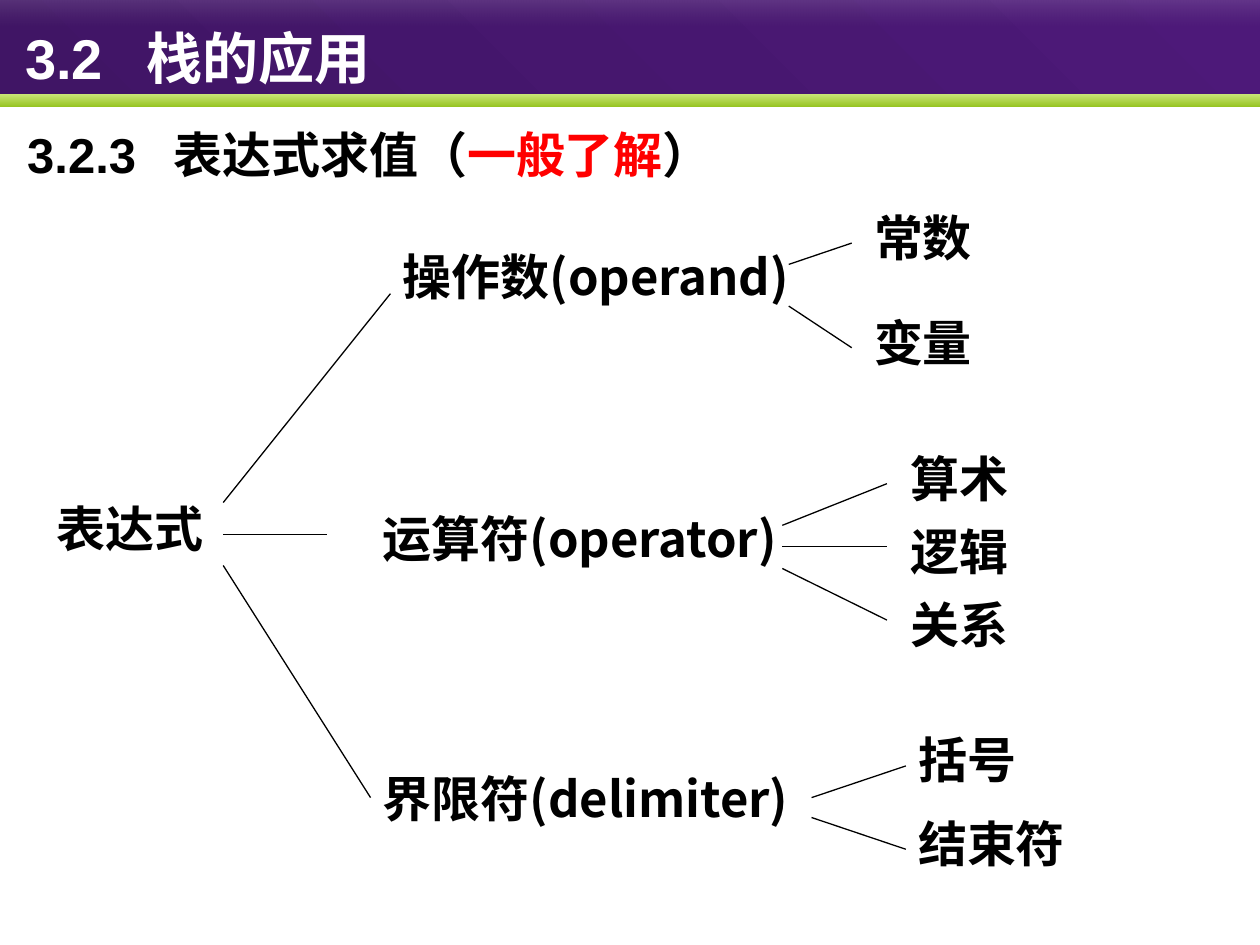
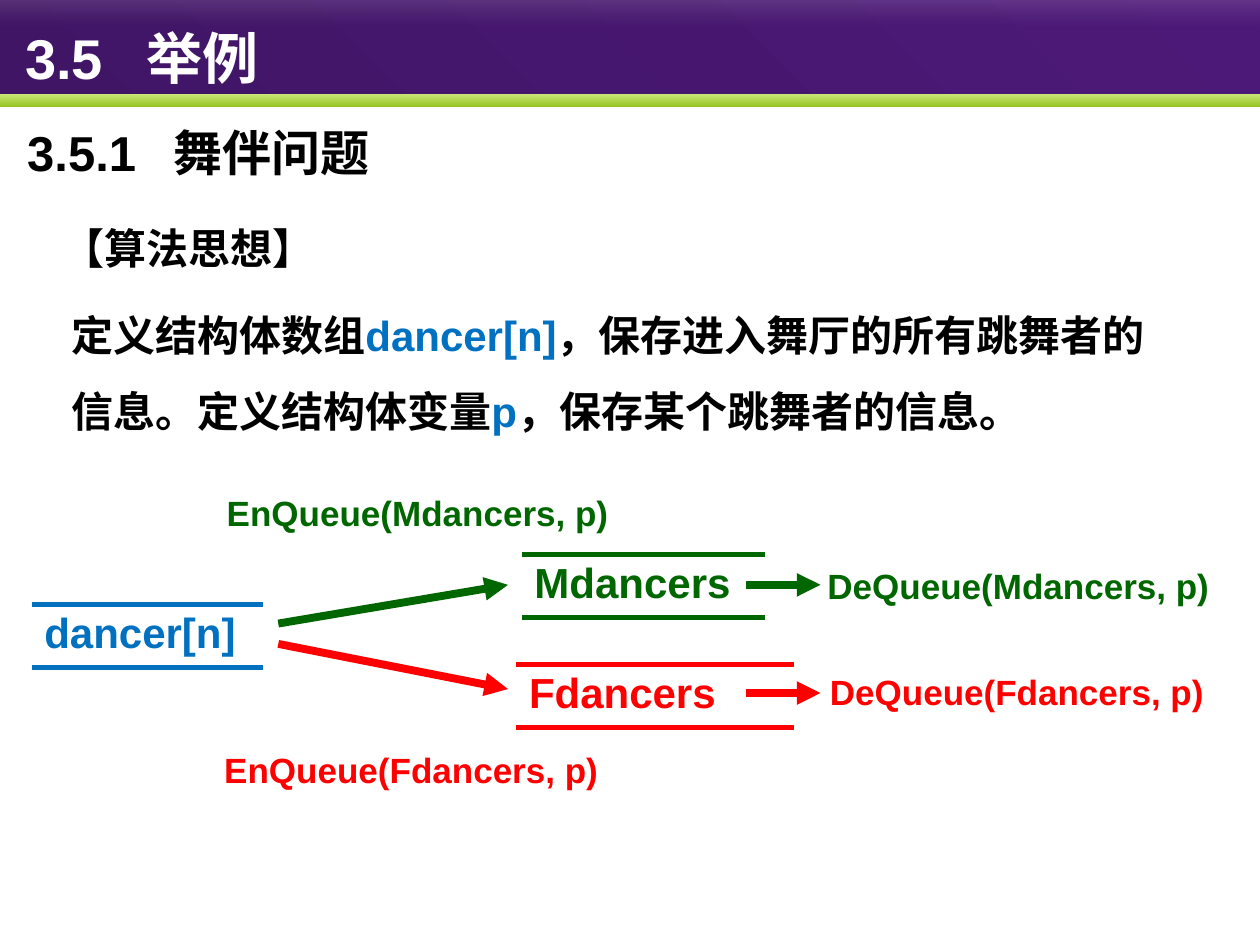
from dataclasses import dataclass

from lxml import etree
from pptx import Presentation
from pptx.dml.color import RGBColor
from pptx.enum import shapes, text
from pptx.oxml.ns import qn
from pptx.util import Cm, Pt


@dataclass(frozen=True)
class Theme:
    black: str = "000000"
    white: str = "FFFFFF"
    red: str = "FF0000"
    green: str = "006600"
    blue: str = "0070C0"
    purple_band: tuple = ("401565", "4D1979")
    lime_band: tuple = ("C9E576", "97C523")
    gloss_band: tuple = ("FFFFFF", "B6B6B6")
    latin: str = "Arial"
    cjk: str = "Noto Sans CJK SC"
    title_size: int = 32
    head_size: int = 28
    body_size: int = 24
    label_size: int = 20


THEME = Theme()
SLIDE_WIDTH, SLIDE_HEIGHT = 25.4, 19.05
NODE_HEIGHT = 1.45
LEAF_WIDTH = 6.55


# ---- Text ----
def write(frame, content, size=THEME.body_size, color=THEME.black, font=THEME.latin,
          line_spacing=None, tab=None):
    """Fill a frame with one bold paragraph; content is a string or (string, colour) pairs."""
    paragraph = frame.paragraphs[0]
    paragraph.alignment = text.PP_ALIGN.LEFT
    if line_spacing:
        paragraph.line_spacing = line_spacing
    if tab:
        stops = etree.SubElement(paragraph._p.get_or_add_pPr(), qn("a:tabLst"))
        etree.SubElement(stops, qn("a:tab"), pos=str(Cm(tab)), algn="l")
    pairs = [(content, color)] if isinstance(content, str) else content
    for words, run_color in pairs:
        run = paragraph.add_run()
        run.text = words
        run.font.size = Pt(size)
        run.font.bold = True
        run.font.color.rgb = RGBColor.from_string(run_color)
        run.font.name = font
        etree.SubElement(run._r.get_or_add_rPr(), qn("a:ea"), typeface=THEME.cjk)


def add_text(slide, left, top, width, height, content, wrap=True,
             anchor=text.MSO_ANCHOR.TOP, **style):
    frame = slide.shapes.add_textbox(Cm(left), Cm(top), Cm(width), Cm(height)).text_frame
    frame.word_wrap = wrap
    frame.auto_size = text.MSO_AUTO_SIZE.SHAPE_TO_FIT_TEXT
    frame.vertical_anchor = anchor
    write(frame, content, **style)


def add_node(slide, left, top, width, words, wrap=True):
    add_text(slide, left, top, width, NODE_HEIGHT, words, wrap=wrap,
             size=THEME.head_size, font=THEME.cjk)


# ---- Lines ----
def add_line(slide, start, end, color=THEME.black, weight=0.75, arrow=False):
    line = slide.shapes.add_connector(shapes.MSO_CONNECTOR.STRAIGHT,
                                      *(Cm(value) for value in (*start, *end)))
    line.line.color.rgb = RGBColor.from_string(color)
    line.line.width = Pt(weight)
    if arrow:
        etree.SubElement(line.line._get_or_add_ln(), qn("a:tailEnd"), type="triangle")
    etree.SubElement(line.element.spPr, qn("a:effectLst"))


# ---- Queue drawn as a one-cell table with top and bottom rules ----
def add_queue(slide, left, top, width, name, color):
    table = slide.shapes.add_table(1, 1, Cm(left), Cm(top), Cm(width), Cm(1.27)).table
    table.first_row = table.horz_banding = False
    cell = table.cell(0, 0)
    cell.fill.background()
    write(cell.text_frame, name, color=color)
    properties = cell._tc.get_or_add_tcPr()
    for index, side in enumerate(("lnL", "lnR", "lnT", "lnB")):
        border = etree.Element(qn(f"a:{side}"), w=str(Pt(3)))
        if side in ("lnT", "lnB"):
            fill = etree.SubElement(border, qn("a:solidFill"))
            etree.SubElement(fill, qn("a:srgbClr"), val=color)
        else:
            etree.SubElement(border, qn("a:noFill"))
        properties.insert(index, border)


# ---- Shared header ----
def add_band(slide, top, height, colors, angle=270, opacities=()):
    band = slide.shapes.add_shape(shapes.MSO_SHAPE.RECTANGLE, 0, Cm(top),
                                  Cm(SLIDE_WIDTH), Cm(height))
    band.shadow.inherit = False
    band.line.fill.background()
    band.fill.gradient()
    band.fill.gradient_angle = angle
    for stop, color in zip(band.fill.gradient_stops, colors):
        stop.color.rgb = RGBColor.from_string(color)
    for color, percent in zip(band.element.iter(qn("a:srgbClr")), opacities):
        etree.SubElement(color, qn("a:alpha"), val=str(percent * 1000))
    return band


def set_up_master(deck, layout, slide):
    """Put the bands behind everything on the master and place the title on the layout."""
    bands = (add_band(slide, 0, 1.9, THEME.purple_band, angle=45),
             add_band(slide, 1.9, 0.25, THEME.lime_band),
             add_band(slide, 0, 0.53, THEME.gloss_band, opacities=(13, 0)))
    for depth, band in enumerate(bands, start=2):
        deck.slide_master.shapes.element.insert(depth, band.element)
    title = layout.placeholders[0]
    title.left, title.top, title.width, title.height = Cm(0.25), Cm(0), Cm(25.15), Cm(2.29)
    title.text_frame.vertical_anchor = text.MSO_ANCHOR.MIDDLE


def add_headings(slide, title, section, section_top):
    write(slide.shapes.title.text_frame, title, size=THEME.title_size,
          color=THEME.white, tab=2.45)
    add_text(slide, 0.3, section_top, 24.8, 1.5, section, size=THEME.head_size, tab=2.95)


# ---- Slide 1: kinds of tokens in an expression ----
def add_branch(slide, node, trunk, fork_x, leaf_line_x, leaf_x, leaves):
    """Draw a node, its line from the root, and its leaves (words, top, line start y, end y)."""
    add_line(slide, *trunk)
    add_node(slide, *node)
    for words, top, start_y, end_y in leaves:
        add_node(slide, leaf_x, top, LEAF_WIDTH, words)
        add_line(slide, (fork_x, start_y), (leaf_line_x, end_y))


def build_expression(slide):
    add_headings(slide, "3.2\t栈的应用",
                 [("3.2.3\t表达式求值（", THEME.black), ("一般了解", THEME.red),
                  ("）", THEME.black)], 2.39)
    add_node(slide, 0.89, 9.93, 3.48, "表达式", wrap=False)
    root_x = 4.5
    add_branch(slide, (7.87, 4.85, 9.73, "操作数(operand)"),
               ((root_x, 10.13), (7.87, 5.92)), 15.9, 17.17, 17.37,
               [("常数", 4.06, 5.33, 4.9), ("变量", 6.17, 6.17, 7.01)])
    add_branch(slide, (7.47, 10.13, 10.8, "运算符(operator)"),
               ((root_x, 10.77), (6.6, 10.77)), 15.77, 17.88, 18.11,
               [("算术", 8.92, 10.59, 9.75), ("逻辑", 10.39, 11.02, 11.02),
                ("关系", 11.86, 11.46, 12.5)])
    add_branch(slide, (7.47, 15.37, 8.97, "界限符(delimiter)", False),
               ((root_x, 11.4), (7.47, 16.08)), 16.36, 18.26, 18.26,
               [("括号", 14.58, 16.08, 15.44), ("结束符", 16.28, 16.48, 17.12)])


# ---- Slide 2: dance partner queues ----
def build_dancers(slide):
    add_headings(slide, "3.5\t举例", "3.5.1\t舞伴问题", 2.34)
    add_text(slide, 1.02, 3.84, 22.23, 1.8, "【算法思想】", font=THEME.cjk,
             line_spacing=1.5, anchor=text.MSO_ANCHOR.MIDDLE)
    add_text(slide, 1.19, 5.61, 22.5, 3.33,
             [("定义结构体数组", THEME.black), ("dancer[n]", THEME.blue),
              ("，保存进入舞厅的所有跳舞者的信息。定义结构体变量", THEME.black),
              ("p", THEME.blue), ("，保存某个跳舞者的信息。", THEME.black)],
             line_spacing=1.5)

    add_queue(slide, 0.64, 12.19, 4.67, "dancer[n]", THEME.blue)
    # Name, colour, queue box, arrow-in start and end y, arrow-out y, label places
    lanes = [
        ("Mdancers", THEME.green, (10.52, 11.18, 4.9), (12.57, 11.79), 11.79,
         (4.32, 9.78), (16.43, 11.25)),
        ("Fdancers", THEME.red, (10.41, 13.39, 5.59), (12.98, 13.89), 13.97,
         (4.27, 14.96), (16.48, 13.39)),
    ]
    for name, color, box, (start_y, end_y), out_y, enqueue_at, dequeue_at in lanes:
        add_queue(slide, *box, name, color)
        for start, end in (((5.61, start_y), (10.24, end_y)),
                           ((15.04, out_y), (16.54, out_y))):
            add_line(slide, start, end, color=color, weight=4.5, arrow=True)
        for action, place in (("EnQueue", enqueue_at), ("DeQueue", dequeue_at)):
            add_text(slide, *place, 8.2, 1.12, f"{action}({name}, p)", wrap=False,
                     size=THEME.label_size, color=color)


def main():
    deck = Presentation()
    deck.slide_width, deck.slide_height = Cm(SLIDE_WIDTH), Cm(SLIDE_HEIGHT)
    layout = deck.slide_layouts[5]
    expression, dancers = (deck.slides.add_slide(layout) for _ in range(2))
    set_up_master(deck, layout, expression)
    build_expression(expression)
    build_dancers(dancers)
    deck.save("out.pptx")


if __name__ == "__main__":
    main()
